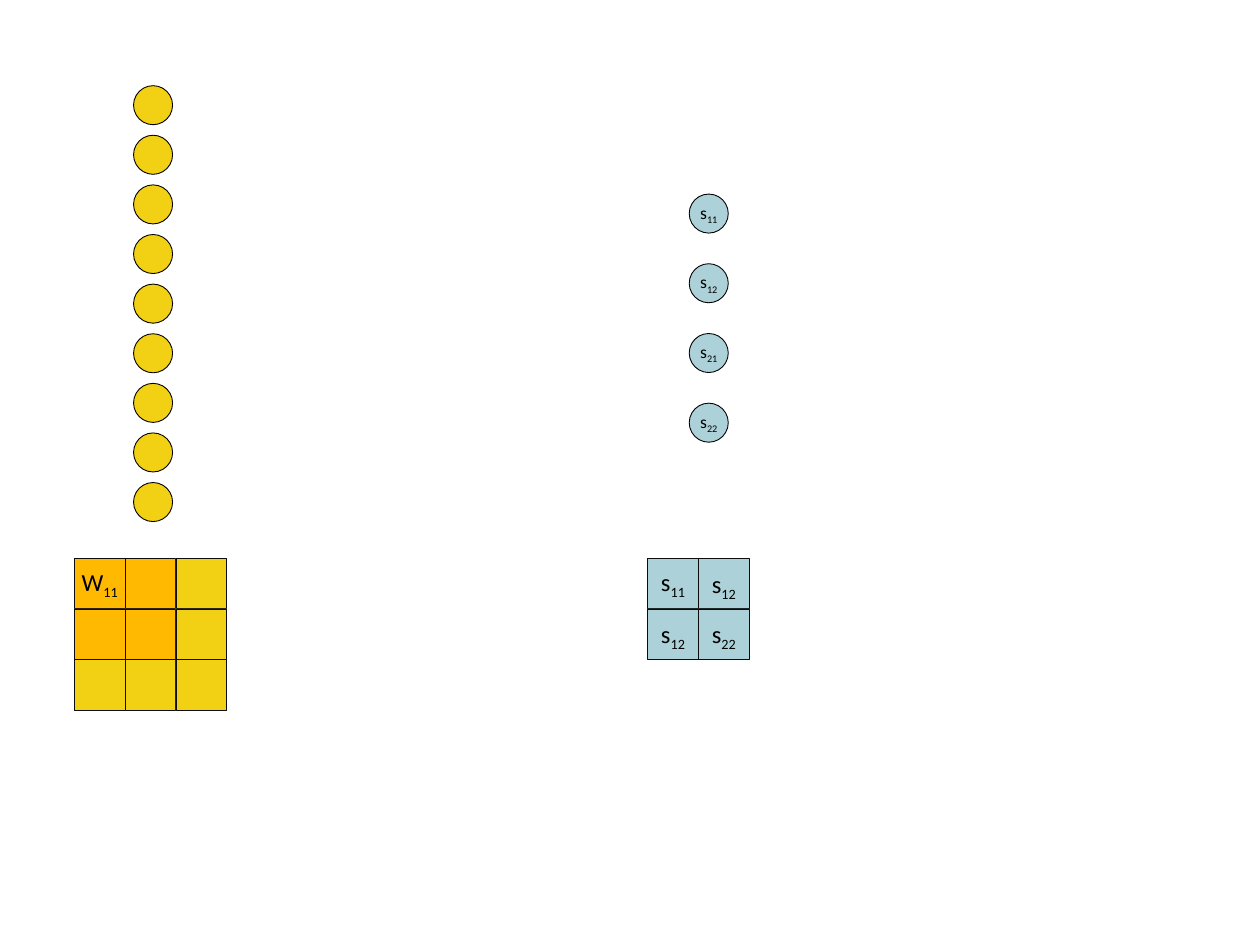
"""Build a slide pairing a weight grid and a score grid with their unrolled node columns."""
from pptx import Presentation
from pptx.dml.color import RGBColor
from pptx.enum.shapes import MSO_SHAPE
from pptx.enum.text import MSO_ANCHOR, PP_ALIGN
from pptx.util import Inches, Pt

CIRCLE, SQUARE = MSO_SHAPE.OVAL, MSO_SHAPE.RECTANGLE
MIDDLE, CENTER = MSO_ANCHOR.MIDDLE, PP_ALIGN.CENTER

YELLOW = RGBColor(0xF2, 0xD1, 0x15)
ORANGE = RGBColor(0xFF, 0xB9, 0x00)
BLUE = RGBColor(0xAC, 0xD1, 0xD8)
BLACK = RGBColor(0x00, 0x00, 0x00)
NEAR_BLACK = RGBColor(0x0D, 0x0D, 0x0D)

NODE_SIZE = 0.31
CELL_SIZE = 1.21 / 3
GRID_TOP = 4.43
WEIGHT_NODE_LEFT, WEIGHT_NODE_TOP, WEIGHT_NODE_STEP = 1.06, 0.68, 3.15 / 8
SCORE_NODE_LEFT, SCORE_NODE_TOP, SCORE_NODE_STEP = 5.47, 1.54, 1.66 / 3
WEIGHT_GRID_LEFT, SCORE_GRID_LEFT = 0.59, 5.14


def add_unit(shapes, kind, left, top, size, fill, line):
    """Add one filled and outlined node or cell."""
    shape = shapes.add_shape(kind, Inches(left), Inches(top), Inches(size), Inches(size))
    shape.shadow.inherit = False
    shape.fill.solid()
    shape.fill.fore_color.rgb = fill
    shape.line.color.rgb = line
    shape.line.width = Pt(0.5)
    return shape


def add_label(shape, letter, index, points, top_margin=0):
    """Write a letter with a subscript index in the middle of a shape."""
    frame = shape.text_frame
    frame_format = {"margin_left": 0, "margin_right": 0, "margin_bottom": 0,
                    "margin_top": Inches(top_margin), "vertical_anchor": MIDDLE,
                    "word_wrap": True}
    for name, value in frame_format.items():
        setattr(frame, name, value)
    paragraph = frame.paragraphs[0]
    paragraph.alignment = CENTER
    for text in (letter, index):
        run = paragraph.add_run()
        run.text = text
        for name, value in {"name": "Calibri", "size": Pt(points)}.items():
            setattr(run.font, name, value)
        run.font.color.rgb = BLACK
    run.font._element.set("baseline", "-25000")


presentation = Presentation()
presentation.slide_width = Inches(10)
presentation.slide_height = Inches(7.5)
slide = presentation.slides.add_slide(presentation.slide_layouts[6])

for row in range(9):
    top = WEIGHT_NODE_TOP + row * WEIGHT_NODE_STEP
    add_unit(slide.shapes, CIRCLE, WEIGHT_NODE_LEFT, top, NODE_SIZE, YELLOW, BLACK)

for row in range(3):
    for column in range(3):
        fill = ORANGE if row < 2 and column < 2 else YELLOW
        cell = add_unit(slide.shapes, SQUARE, WEIGHT_GRID_LEFT + column * CELL_SIZE,
                        GRID_TOP + row * CELL_SIZE, CELL_SIZE, fill, NEAR_BLACK)
        if row == column == 0:
            add_label(cell, "W", "11", 14)

for row, index in enumerate(("11", "12", "21", "22")):
    top = SCORE_NODE_TOP + row * SCORE_NODE_STEP
    node = add_unit(slide.shapes, CIRCLE, SCORE_NODE_LEFT, top, NODE_SIZE, BLUE, BLACK)
    add_label(node, "s", index, 10)

score_grid = slide.shapes.add_group_shape()
score_cells = (("11", 0), ("12", 0.04), ("12", 0.02), ("22", 0.02))
for position, (index, top_margin) in enumerate(score_cells):
    row, column = divmod(position, 2)
    cell = add_unit(score_grid.shapes, SQUARE, SCORE_GRID_LEFT + column * CELL_SIZE,
                    GRID_TOP + row * CELL_SIZE, CELL_SIZE, BLUE, NEAR_BLACK)
    add_label(cell, "s", index, 14, top_margin)

presentation.save("out.pptx")
